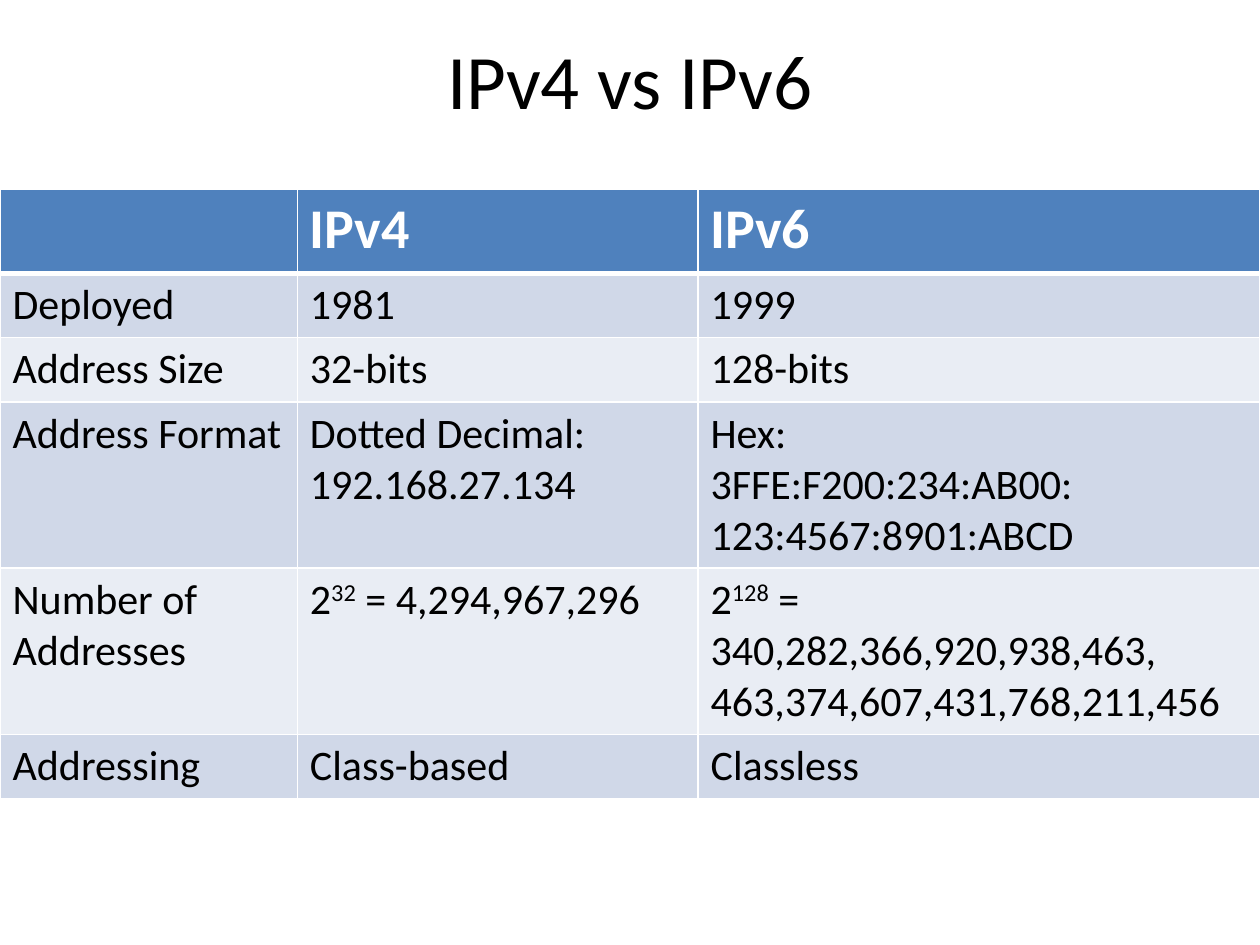
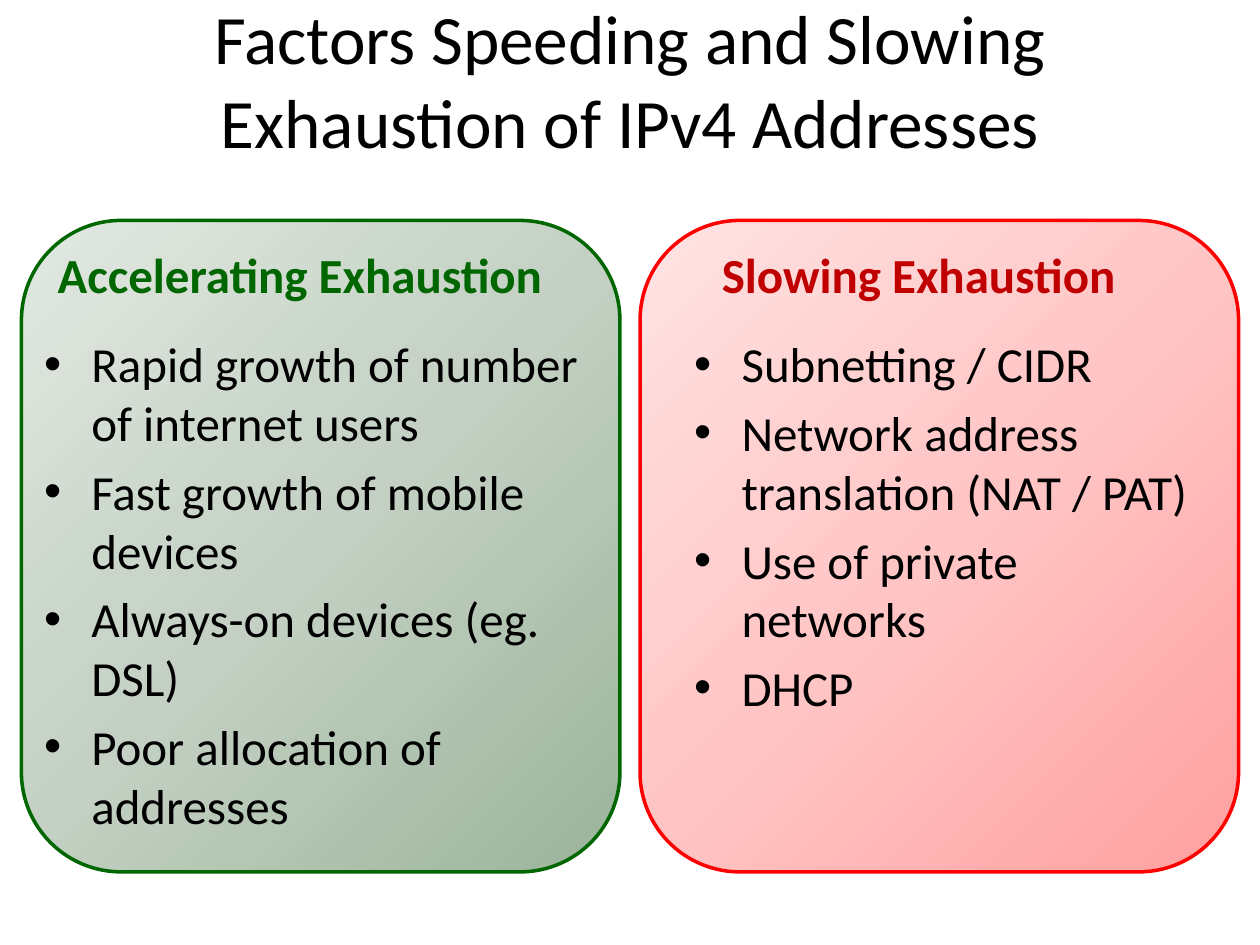
"""Build two slides comparing IPv4 with IPv6 and the factors behind address exhaustion."""
from copy import deepcopy

from lxml import etree
from pptx import Presentation
from pptx.dml.color import RGBColor
from pptx.enum.shapes import MSO_SHAPE
from pptx.enum.text import MSO_ANCHOR, MSO_AUTO_SIZE, PP_ALIGN
from pptx.oxml.ns import qn
from pptx.util import Inches, Pt

FONT = "Calibri"
COLORS = {
    "text": "000000",
    "white": "FFFFFF",
    "header": "4F81BD",
    "band_dark": "D0D8E8",
    "band_light": "E9EDF4",
    "green": "006600",
    "red": "FF0000",
    "dark_red": "C00000",
}
GRADIENTS = {
    "green": ("9BB49B", "C3D0C3", "E2E8E2"),
    "red": ("FFA0A0", "FFC5C5", "FFE3E3"),
}
COLUMN_WIDTHS = (2.36, 3.18, 4.46)
ROW_HEIGHTS = (0.67, 0.51, 0.51, 1.32, 1.32, 0.51)
COMPARISON = (
    ("", "IPv4", "IPv6"),
    ("Deployed", "1981", "1999"),
    ("Address Size", "32-bits", "128-bits"),
    ("Address Format", "Dotted Decimal:\n192.168.27.134",
     "Hex:\n3FFE:F200:234:AB00:\v123:4567:8901:ABCD"),
    ("Number of Addresses", "2^32^ = 4,294,967,296",
     "2^128^ =\v340,282,366,920,938,463,\v463,374,607,431,768,211,456"),
    ("Addressing", "Class-based", "Classless"),
)
ACCELERATING = (
    "Rapid growth of number of internet users",
    "Fast growth of mobile devices",
    "Always-on devices (eg. DSL)",
    "Poor allocation of addresses",
)
SLOWING = (
    "Subnetting / CIDR",
    "Network address translation (NAT / PAT)",
    "Use of private networks",
    "DHCP",
)


def rgb(name):
    return RGBColor.from_string(COLORS[name])


def write(tf, text, size=28, color="text", bold=False, align=None, anchor=None):
    """Fill a frame: newline starts a paragraph, \\v breaks a line, ^ wraps a superscript."""
    tf.word_wrap = True
    if anchor is not None:
        tf.vertical_anchor = anchor
    for i, line in enumerate(text.split("\n")):
        p = tf.paragraphs[0] if i == 0 else tf.add_paragraph()
        p.alignment = align
        for j, part in enumerate(line.split("^")):
            for k, piece in enumerate(part.split("\v")):
                if k:
                    p.add_line_break()
                r = p.add_run()
                r.text = piece
                r.font.name, r.font.size, r.font.bold = FONT, Pt(size), bold
                r.font.color.rgb = rgb(color)
                if j % 2:
                    r._r.get_or_add_rPr().set("baseline", "30000")


def fill_placeholder(sp, box, text, **fmt):
    sp.left, sp.top, sp.width, sp.height = map(Inches, box)
    sp.text_frame.auto_size = MSO_AUTO_SIZE.NONE
    write(sp.text_frame, text, **fmt)


def add_titled_slide(prs, layout, title, size):
    slide = prs.slides.add_slide(prs.slide_layouts[layout])
    fill_placeholder(slide.shapes.title, (0.5, 0, 9, 1.25), title, size=size,
                     align=PP_ALIGN.CENTER, anchor=MSO_ANCHOR.MIDDLE)
    return slide


def set_borders(cell, top=1, bottom=1):
    tcPr = cell._tc.get_or_add_tcPr()
    widths = {"a:lnL": 1, "a:lnR": 1, "a:lnT": top, "a:lnB": bottom}
    for i, (tag, width) in enumerate(widths.items()):
        ln = etree.Element(qn(tag), w=str(Pt(width)))
        solid = etree.SubElement(ln, qn("a:solidFill"))
        etree.SubElement(solid, qn("a:srgbClr"), val=COLORS["white"])
        tcPr.insert(i, ln)


def add_comparison_table(slide, rows, left, top):
    frame = slide.shapes.add_table(
        len(rows), len(COLUMN_WIDTHS), Inches(left), Inches(top),
        Inches(sum(COLUMN_WIDTHS)), Inches(sum(ROW_HEIGHTS)))
    table = frame.table
    for column, width in zip(table.columns, COLUMN_WIDTHS):
        column.width = Inches(width)
    for i, (row, height) in enumerate(zip(rows, ROW_HEIGHTS)):
        table.rows[i].height = Inches(height)
        header = i == 0
        band = "header" if header else ("band_light", "band_dark")[i % 2]
        for j, text in enumerate(row):
            cell = table.cell(i, j)
            cell.fill.solid()
            cell.fill.fore_color.rgb = rgb(band)
            set_borders(cell, top=3 if i == 1 else 1, bottom=3 if header else 1)
            write(cell.text_frame, text, size=32 if header else 24,
                  color="white" if header else "text", bold=header)


def add_panel(slide, left, color):
    """Add a rounded panel with a diagonal gradient behind the placeholders."""
    sp = slide.shapes.add_shape(MSO_SHAPE.ROUNDED_RECTANGLE, Inches(left),
                                Inches(1.75), Inches(4.75), Inches(5.17))
    sp.shadow.inherit = False
    sp.line.color.rgb, sp.line.width = rgb(color), Pt(2)
    sp.fill.gradient()
    sp.fill.gradient_angle = 135
    stops = sp._element.spPr.find(".//" + qn("a:gsLst"))
    stops.append(deepcopy(stops[0]))
    for i, (stop, shade) in enumerate(zip(sp.fill.gradient_stops, GRADIENTS[color])):
        stop.position = i / 2
        stop.color.rgb = RGBColor.from_string(shade)
    slide.shapes._spTree.insert(2, sp._element)


def add_factors(slide, idx, heading, items, left, list_left, list_width, color, heading_color):
    add_panel(slide, left, color)
    fill_placeholder(slide.placeholders[idx], (left, 1.76, 4.42, 0.7), heading,
                     color=heading_color, bold=True,
                     align=PP_ALIGN.CENTER, anchor=MSO_ANCHOR.BOTTOM)
    fill_placeholder(slide.placeholders[idx + 1], (list_left, 2.6, list_width, 4.32),
                     "\n".join(items))


def main():
    prs = Presentation()
    prs.slide_width, prs.slide_height = Inches(10), Inches(7.5)

    slide = add_titled_slide(prs, 5, "IPv4 vs IPv6", 44)
    add_comparison_table(slide, COMPARISON, 0, 1.5)

    slide = add_titled_slide(
        prs, 4, "Factors Speeding and Slowing Exhaustion of IPv4 Addresses", 39.6)
    add_factors(slide, 1, "Accelerating Exhaustion", ACCELERATING,
                0.17, 0.25, 4.67, "green", "green")
    add_factors(slide, 3, "Slowing Exhaustion", SLOWING,
                5.08, 5.41, 4.17, "red", "dark_red")

    prs.save("out.pptx")


if __name__ == "__main__":
    main()
